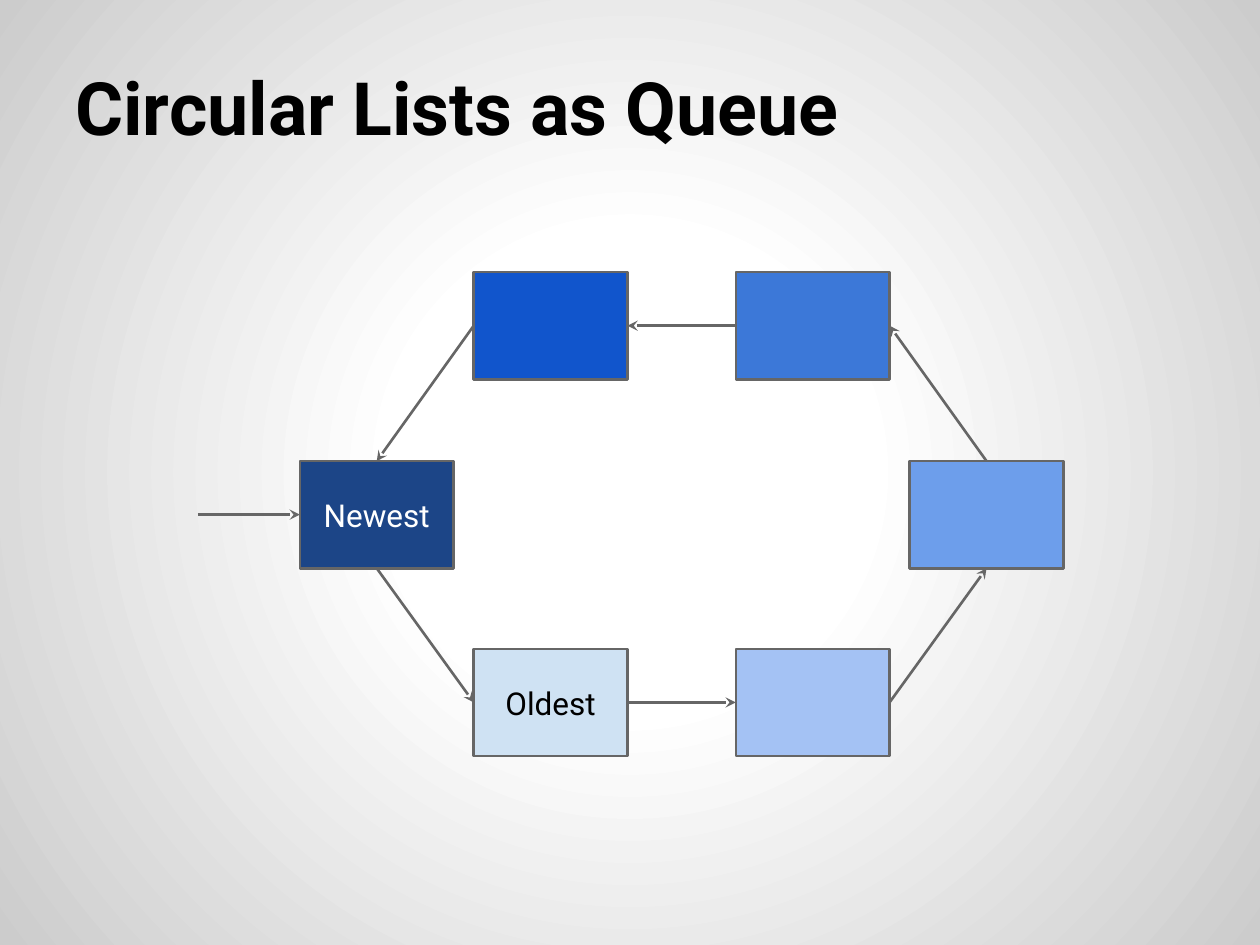
from dataclasses import dataclass

from lxml.etree import SubElement
from pptx import Presentation
from pptx.dml.color import RGBColor
from pptx.enum.shapes import MSO_CONNECTOR, MSO_SHAPE
from pptx.enum.text import MSO_ANCHOR, PP_ALIGN
from pptx.oxml import parse_xml
from pptx.oxml.ns import nsdecls, qn
from pptx.shapes.autoshape import Shape
from pptx.shapes.connector import Connector
from pptx.slide import Slide
from pptx.text.text import TextFrame
from pptx.util import Inches, Pt

FONT = "Roboto"
COLORS = {
    "black": "000000", "white": "FFFFFF", "edge": "CCCCCC", "line": "666666",
    "newest": "1C4587", "oldest": "CFE2F3", "second": "A4C2F4",
    "third": "6D9EEB", "fourth": "3C78D8", "fifth": "1155CC",
}
NODE_W, NODE_H = 1.22, 0.85
COLS = (2.38, 3.76, 5.84, 7.22)
ROWS = (2.16, 3.66, 5.15)
LINE_W = Pt(1.5)
TOP, LEFT, BOTTOM, RIGHT = range(4)  # connection sites of a rectangle


@dataclass
class Node:
    col: int
    row: int
    fill: str
    label: str = ""
    ink: str = "black"


@dataclass
class Link:
    """Sites where the arrow leaves a node and enters the next one."""
    leave: int
    enter: int


NODES = [
    Node(0, 1, "newest", "Newest", "white"),
    Node(1, 2, "oldest", "Oldest"),
    Node(2, 2, "second"),
    Node(3, 1, "third"),
    Node(2, 0, "fourth"),
    Node(1, 0, "fifth"),
]
LINKS = [
    Link(BOTTOM, LEFT), Link(RIGHT, LEFT), Link(RIGHT, BOTTOM),
    Link(TOP, RIGHT), Link(LEFT, RIGHT), Link(LEFT, TOP),
]


def rgb(name: str) -> RGBColor:
    return RGBColor.from_string(COLORS[name])


def set_background(s: Slide) -> None:
    """Radial gradient, white up to 30 % and grey at the corners."""
    fill = s.background.fill
    fill.solid()
    stops = "".join(
        f'<a:gs pos="{pos * 1000}"><a:srgbClr val="{COLORS[name]}"/></a:gs>'
        for pos, name in ((0, "white"), (30, "white"), (100, "edge")))
    grad = parse_xml(
        f'<a:gradFill {nsdecls("a")} rotWithShape="1"><a:gsLst>{stops}</a:gsLst>'
        '<a:path path="circle"><a:fillToRect l="50000" t="50000" r="50000" b="50000"/>'
        '</a:path></a:gradFill>')
    solid = s.background._cSld.find(".//" + qn("a:solidFill"))
    solid.getparent().replace(solid, grad)


def set_text(tf: TextFrame, text: str, size: int, ink: str, align: PP_ALIGN,
             bold: bool = False) -> None:
    tf.word_wrap = True
    tf.vertical_anchor = MSO_ANCHOR.MIDDLE
    tf.margin_left = tf.margin_right = tf.margin_top = tf.margin_bottom = Inches(0.1)
    tf.text = text
    p = tf.paragraphs[0]
    p.alignment = align
    font = p.runs[0].font
    font.name, font.size, font.bold = FONT, Pt(size), bold
    font.color.rgb = rgb(ink)


def add_node(s: Slide, node: Node) -> Shape:
    sp = s.shapes.add_shape(MSO_SHAPE.RECTANGLE, Inches(COLS[node.col]),
                            Inches(ROWS[node.row]), Inches(NODE_W), Inches(NODE_H))
    sp.shadow.inherit = False
    sp.fill.solid()
    sp.fill.fore_color.rgb = rgb(node.fill)
    sp.line.color.rgb = rgb("line")
    sp.line.width = LINE_W
    if node.label:
        set_text(sp.text_frame, node.label, 18, node.ink, PP_ALIGN.CENTER)
    return sp


def add_arrow(s: Slide, x: float = 0, y: float = 0) -> Connector:
    """Arrow of no length at x, y; its ends are placed by the caller."""
    cx = s.shapes.add_connector(MSO_CONNECTOR.STRAIGHT, Inches(x), Inches(y),
                                Inches(x), Inches(y))
    cx.line.color.rgb = rgb("line")
    cx.line.width = LINE_W
    SubElement(cx.line._get_or_add_ln(), qn("a:tailEnd"), type="stealth")
    SubElement(cx._element.spPr, qn("a:effectLst"))
    return cx


def main() -> None:
    prs = Presentation()
    prs.slide_width, prs.slide_height = Inches(10), Inches(7.5)
    s = prs.slides.add_slide(prs.slide_layouts[6])
    set_background(s)

    title = s.shapes.add_textbox(Inches(0.5), Inches(0.3), Inches(9), Inches(1.08))
    set_text(title.text_frame, "Circular Lists as Queue", 42, "black",
             PP_ALIGN.LEFT, bold=True)

    boxes = [add_node(s, node) for node in NODES]
    for box, following, link in zip(boxes, boxes[1:] + boxes[:1], LINKS):
        cx = add_arrow(s)
        cx.begin_connect(box, link.leave)
        cx.end_connect(following, link.enter)

    entry = add_arrow(s, 1.57, ROWS[1] + NODE_H / 2)
    entry.end_connect(boxes[0], LEFT)

    prs.save("out.pptx")


if __name__ == "__main__":
    main()
